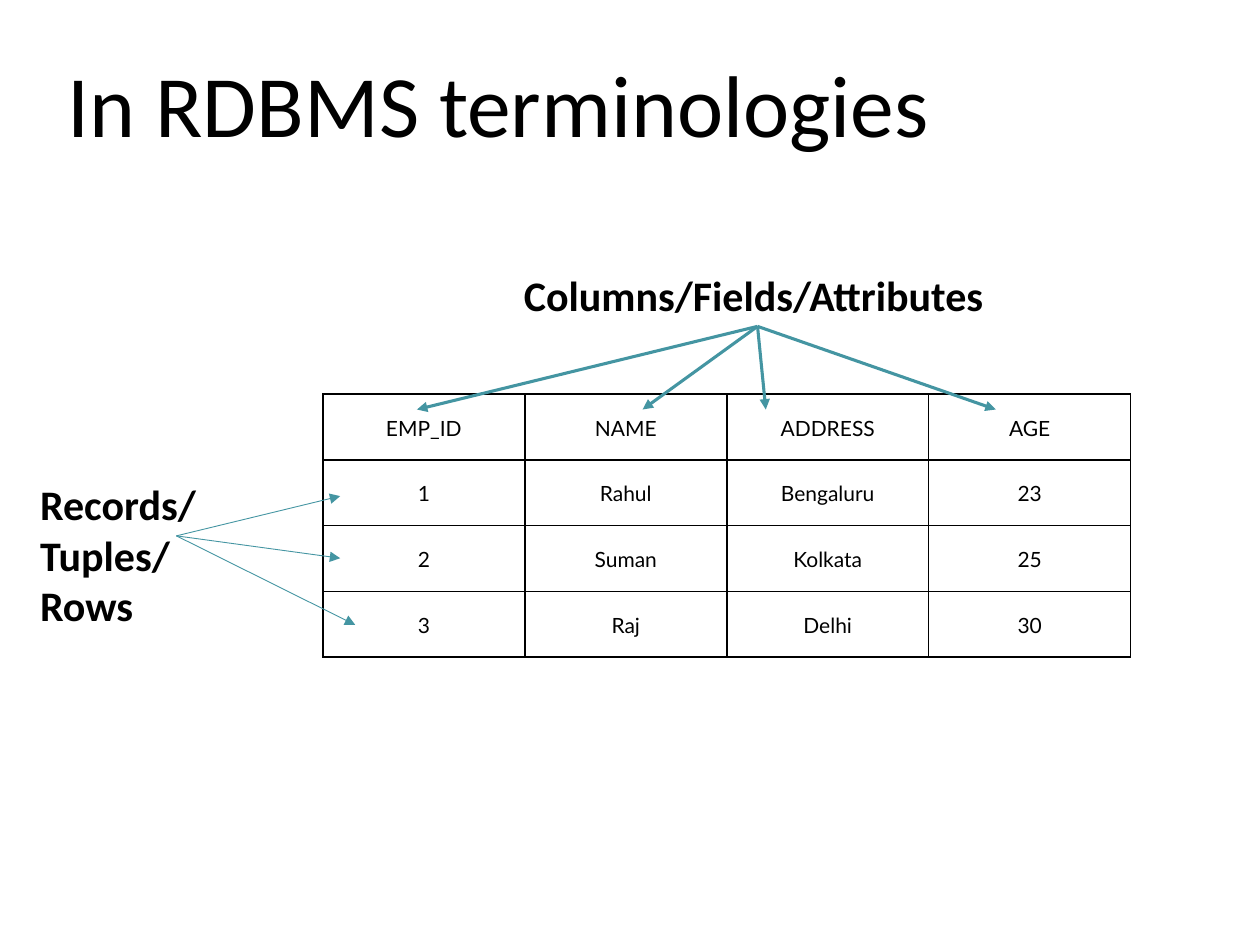
from dataclasses import dataclass

import lxml.etree
import pptx
import pptx.dml.color
import pptx.enum.shapes
import pptx.enum.text
import pptx.oxml.ns
import pptx.util

Pt = pptx.util.Pt
qn = pptx.oxml.ns.qn

BLACK = "000000"
TEAL = "4495A2"
Point = tuple[float, float]


@dataclass
class Label:
    lines: list[str]
    left: float
    top: float
    width: float
    height: float
    size: float
    bold: bool = True
    wrap: bool = False
    line_spacing: float = 1.0


@dataclass
class ArrowFan:
    start: Point
    ends: list[Point]
    weight: float


TITLE = Label(["In RDBMS terminologies"], 31.7, 31.7, 680.4, 51.1, 50,
              bold=False, wrap=True, line_spacing=0.9)
COLUMNS_LABEL = Label(["Columns/Fields/Attributes"], 292.3, 150.5, 280.8, 36, 24)
RECORDS_LABEL = Label(["Records/", "Tuples/", "Rows"], 15.8, 270, 104.4, 94.3, 24)

COLUMN_ARROWS = ArrowFan((432.9, 186.5), [(x, 234) for x in (238.3, 367.2, 437.6, 569)], 1.75)
RECORD_ARROWS = ArrowFan((100.8, 306.2), [(194.4, 283.5), (194.4, 319), (203, 357.1)], 0.5)

EMPLOYEES = [
    ["EMP_ID", "NAME", "ADDRESS", "AGE"],
    ["1", "Rahul", "Bengaluru", "23"],
    ["2", "Suman", "Kolkata", "25"],
    ["3", "Raj", "Delhi", "30"],
]
TABLE_LEFT, TABLE_TOP = 184.5, 225.2
COLUMN_WIDTH, ROW_HEIGHT = 115.4, 37.6
CELL_MARGIN = 0.75


def color(value: str) -> pptx.dml.color.RGBColor:
    return pptx.dml.color.RGBColor.from_string(value)


def format_runs(paragraph, font: str, size: float, bold: bool = False) -> None:
    for run in paragraph.runs:
        run.font.name = font
        run.font.size = Pt(size)
        run.font.bold = bold
        run.font.color.rgb = color(BLACK)


def add_label(slide, label: Label) -> None:
    shape = slide.shapes.add_textbox(
        Pt(label.left), Pt(label.top), Pt(label.width), Pt(label.height))
    text_frame = shape.text_frame
    text_frame.text = "\n".join(label.lines)
    text_frame.word_wrap = label.wrap
    if not label.wrap:
        text_frame.auto_size = pptx.enum.text.MSO_AUTO_SIZE.SHAPE_TO_FIT_TEXT
    for paragraph in text_frame.paragraphs:
        paragraph.line_spacing = label.line_spacing
        format_runs(paragraph, "Calibri", label.size, label.bold)


def add_arrows(slide, fan: ArrowFan) -> None:
    for end in fan.ends:
        connector = slide.shapes.add_connector(
            pptx.enum.shapes.MSO_CONNECTOR.STRAIGHT,
            *(Pt(length) for length in (*fan.start, *end)))
        connector.line.color.rgb = color(TEAL)
        connector.line.width = Pt(fan.weight)
        properties = connector._element.spPr
        lxml.etree.SubElement(properties.find(qn("a:ln")), qn("a:tailEnd"), type="triangle")
        lxml.etree.SubElement(properties, qn("a:effectLst"))


def add_borders(cell, weight: float) -> None:
    properties = cell._tc.get_or_add_tcPr()
    for position, side in enumerate(("lnL", "lnR", "lnT", "lnB")):
        border = lxml.etree.Element(qn(f"a:{side}"), w=str(Pt(weight)))
        fill = lxml.etree.SubElement(border, qn("a:solidFill"))
        lxml.etree.SubElement(fill, qn("a:srgbClr"), val=BLACK)
        properties.insert(position, border)


def format_cell(cell, text: str) -> None:
    cell.text_frame.text = text
    cell.vertical_anchor = pptx.enum.text.MSO_ANCHOR.MIDDLE
    cell.margin_left = cell.margin_right = Pt(CELL_MARGIN)
    cell.margin_top = cell.margin_bottom = Pt(CELL_MARGIN)
    paragraph = cell.text_frame.paragraphs[0]
    paragraph.alignment = pptx.enum.text.PP_ALIGN.CENTER
    paragraph.line_spacing = 1.07
    format_runs(paragraph, "Lato", 12)
    cell.fill.background()
    add_borders(cell, 1)


def add_employee_table(slide, rows: list[list[str]]) -> None:
    row_count, column_count = len(rows), len(rows[0])
    table = slide.shapes.add_table(
        row_count, column_count, Pt(TABLE_LEFT), Pt(TABLE_TOP),
        Pt(COLUMN_WIDTH * column_count), Pt(ROW_HEIGHT * row_count)).table
    table.first_row = table.horz_banding = False
    for column in table.columns:
        column.width = Pt(COLUMN_WIDTH)
    for row, texts in zip(table.rows, rows):
        row.height = Pt(ROW_HEIGHT)
        for cell, text in zip(row.cells, texts):
            format_cell(cell, text)


def main() -> None:
    presentation = pptx.Presentation()
    presentation.slide_width, presentation.slide_height = Pt(720), Pt(540)
    slide = presentation.slides.add_slide(presentation.slide_layouts[6])

    # Employee table
    add_employee_table(slide, EMPLOYEES)

    # Names for the columns
    add_label(slide, COLUMNS_LABEL)
    add_arrows(slide, COLUMN_ARROWS)

    # Names for the rows
    add_label(slide, RECORDS_LABEL)
    add_arrows(slide, RECORD_ARROWS)

    # Title
    add_label(slide, TITLE)

    presentation.save("out.pptx")


if __name__ == "__main__":
    main()
